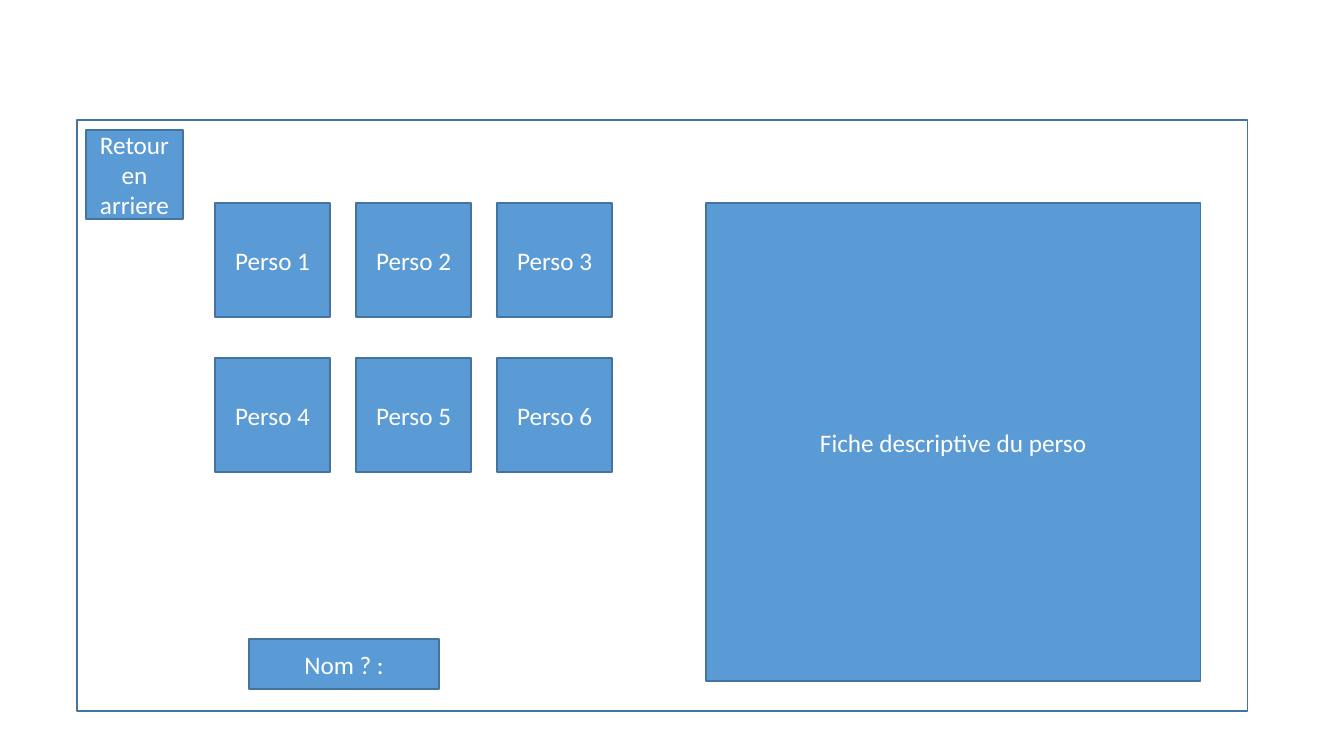
from pptx import Presentation
from pptx.dml.color import RGBColor
from pptx.enum.shapes import MSO_SHAPE
from pptx.enum.text import MSO_ANCHOR, PP_ALIGN
from pptx.util import Emu, Inches, Pt

# Content: places are left, top, width, height in pixels
SCREEN = (77, 120, 1170, 591)
PANELS = [
    ("Nom ? :", (249, 639, 190, 50)),
    ("Fiche descriptive du perso", (706, 203, 494, 478)),
    ("Retour en arriere", (86, 130, 97, 89)),
]
CHARACTERS = [f"Perso {number}" for number in range(1, 7)]

# Character grid
COLUMNS = 3
GRID_LEFT, GRID_TOP = 215, 203
COLUMN_STEP, ROW_STEP = 141, 155
CARD_WIDTH, CARD_HEIGHT = 115, 114

BLUE = RGBColor(0x5B, 0x9B, 0xD5)
DARK_BLUE = RGBColor(0x43, 0x73, 0x9E)
WHITE = RGBColor(0xFF, 0xFF, 0xFF)
FONT = "Calibri"
EMU_PER_PIXEL = 914400 / 100.8

presentation = Presentation()
presentation.slide_width = Inches(13.33)
presentation.slide_height = Inches(7.5)
slide = presentation.slides.add_slide(presentation.slide_layouts[6])


def add_box(place):
    lengths = [Emu(round(pixels * EMU_PER_PIXEL)) for pixels in place]
    shape = slide.shapes.add_shape(MSO_SHAPE.RECTANGLE, *lengths)
    shape.shadow.inherit = False
    shape.fill.background()
    shape.line.color.rgb = DARK_BLUE
    shape.line.width = Pt(1)
    return shape


def add_panel(text, place):
    shape = add_box(place)
    shape.fill.solid()
    shape.fill.fore_color.rgb = BLUE
    frame = shape.text_frame
    frame.word_wrap = True
    frame.vertical_anchor = MSO_ANCHOR.MIDDLE
    paragraph = frame.paragraphs[0]
    paragraph.alignment = PP_ALIGN.CENTER
    run = paragraph.add_run()
    run.text = text
    run.font.name = FONT
    run.font.size = Pt(18)
    run.font.color.rgb = WHITE


# Screen outline
add_box(SCREEN)

# Character cards
for index, character in enumerate(CHARACTERS):
    row, column = divmod(index, COLUMNS)
    left = GRID_LEFT + column * COLUMN_STEP
    top = GRID_TOP + row * ROW_STEP
    add_panel(character, (left, top, CARD_WIDTH, CARD_HEIGHT))

# Name field, description sheet and back button
for text, place in PANELS:
    add_panel(text, place)

presentation.save("out.pptx")
